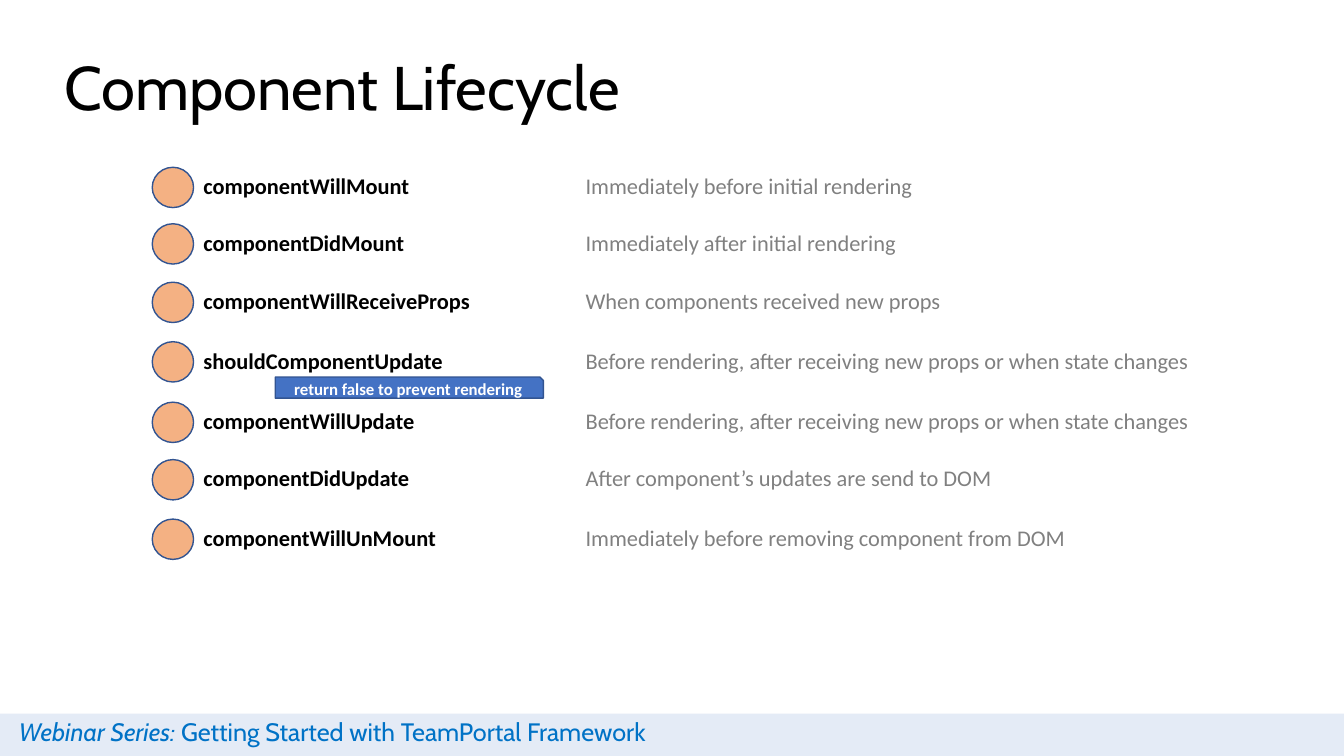
"""Build the Component Lifecycle slide."""
from dataclasses import dataclass, field
from typing import Any, NamedTuple

from lxml.etree import SubElement
from pptx import Presentation
from pptx.dml.color import RGBColor as Rgb
from pptx.enum.shapes import MSO_SHAPE as Preset
from pptx.enum.text import MSO_ANCHOR as Anchor, MSO_AUTO_SIZE as Fit, PP_ALIGN as Align
from pptx.oxml.ns import qn
from pptx.util import Inches, Pt


@dataclass(frozen=True)
class TextStyle:
    """Font settings for one kind of text."""
    color: str
    size: int
    name: str = "Calibri"
    bold: bool = False
    italic: bool = False


@dataclass(frozen=True)
class Theme:
    """Colours and type styles of the slide."""
    accent: str = "4472C4"
    outline: str = "325491"
    marker: str = "F4B183"
    banner_alpha: int = 14
    title: TextStyle = field(default=TextStyle("000000", 44, "Cabin"))
    series: TextStyle = field(default=TextStyle("0072C6", 18, "Cabin", italic=True))
    topic: TextStyle = field(default=TextStyle("0072C6", 18, "Cabin"))
    method: TextStyle = field(default=TextStyle("000000", 16, bold=True))
    timing: TextStyle = field(default=TextStyle("808080", 16))
    hint: TextStyle = field(default=TextStyle("FFFFFF", 12, bold=True))


class Box(NamedTuple):
    """Left, top, width and height in inches."""
    left: float
    top: float
    width: float
    height: float


class Stage(NamedTuple):
    """One lifecycle method, when it runs and its place."""
    top: float
    method: str
    timing: str
    method_width: float = 2.66
    timing_width: float = 4.29


THEME = Theme()
MARKER_LEFT, METHOD_LEFT, TIMING_LEFT = 1.51, 1.92, 5.71
LABEL_HEIGHT = 0.37
BEFORE_UPDATE = "Before rendering, after receiving new props or when state changes"
STAGES = (
    Stage(1.66, "componentWillMount", "Immediately before initial rendering"),
    Stage(2.22, "componentDidMount", "Immediately after initial rendering"),
    Stage(2.8, "componentWillReceiveProps", "When components received new props", method_width=2.9),
    Stage(3.39, "shouldComponentUpdate", BEFORE_UPDATE, timing_width=6.93),
    Stage(3.99, "componentWillUpdate", BEFORE_UPDATE, timing_width=6.55),
    Stage(4.56, "componentDidUpdate", "After component’s updates are send to DOM"),
    Stage(5.15, "componentWillUnMount", "Immediately before removing component from DOM",
          timing_width=5.35),
)


def set_all(target: Any, values: dict[str, Any]) -> None:
    """Set every named attribute on the target."""
    for name, value in values.items():
        setattr(target, name, value)


def write(paragraph: Any, text: str, style: TextStyle) -> None:
    """Append a styled run to a paragraph."""
    run = paragraph.add_run()
    run.text = text
    set_all(run.font, {"name": style.name, "size": Pt(style.size),
                       "bold": style.bold, "italic": style.italic})
    run.font.color.rgb = Rgb.from_string(style.color)


def add_text(shapes: Any, box: Box, *runs: tuple[str, TextStyle], **frame: Any) -> Any:
    """Add a wrapping text box and return its paragraph."""
    text_frame = shapes.add_textbox(*map(Inches, box)).text_frame
    set_all(text_frame, {"word_wrap": True, "auto_size": Fit.SHAPE_TO_FIT_TEXT} | frame)
    paragraph = text_frame.paragraphs[0]
    for text, style in runs:
        write(paragraph, text, style)
    return paragraph


def add_shape(shapes: Any, preset: Preset, box: Box, fill: str, outline: str | None) -> Any:
    """Add a flat filled shape with an optional outline."""
    shape = shapes.add_shape(preset, *map(Inches, box))
    shape.shadow.inherit = False
    shape.fill.solid()
    shape.fill.fore_color.rgb = Rgb.from_string(fill)
    if outline:
        shape.line.color.rgb = Rgb.from_string(outline)
        shape.line.width = Pt(1)
    else:
        shape.line.fill.background()
    return shape


def add_banner(shapes: Any) -> None:
    """Add the translucent footer band and its series name."""
    band = add_shape(shapes, Preset.RECTANGLE, Box(0, 7.08, 13.33, 0.42), THEME.accent, None)
    color = band.fill._xPr.find(qn("a:solidFill"))[0]
    SubElement(color, qn("a:alpha"), val=str(THEME.banner_alpha * 1000))
    add_text(shapes, Box(0.09, 7.06, 7.14, 0.4), ("Webinar Series: ", THEME.series),
             ("Getting Started with TeamPortal Framework", THEME.topic))


def add_stage(shapes: Any, stage: Stage) -> None:
    """Add a grouped marker, method name and timing."""
    members = shapes.add_group_shape().shapes
    add_shape(members, Preset.OVAL, Box(MARKER_LEFT, stage.top, 0.41, 0.4),
              THEME.marker, THEME.outline)
    add_text(members, Box(METHOD_LEFT, stage.top, stage.method_width, LABEL_HEIGHT),
             (stage.method, THEME.method))
    add_text(members, Box(TIMING_LEFT, stage.top, stage.timing_width, LABEL_HEIGHT),
             (stage.timing, THEME.timing))


def add_hint(shapes: Any) -> None:
    """Add the tag about preventing rendering."""
    tag = add_shape(shapes, Preset.SNIP_1_RECTANGLE, Box(2.73, 3.74, 2.66, 0.21),
                    THEME.accent, THEME.outline)
    set_all(tag.text_frame, {"word_wrap": True, "vertical_anchor": Anchor.MIDDLE})
    paragraph = tag.text_frame.paragraphs[0]
    paragraph.alignment = Align.CENTER
    write(paragraph, "return false to prevent rendering", THEME.hint)


def main() -> None:
    """Build and save the presentation."""
    deck = Presentation()
    set_all(deck, {"slide_width": Inches(13.33), "slide_height": Inches(7.5)})
    shapes = deck.slides.add_slide(deck.slide_layouts[6]).shapes
    add_banner(shapes)
    title = add_text(shapes, Box(0.54, 0.32, 11.5, 1.15), ("Component Lifecycle", THEME.title),
                     auto_size=Fit.NONE, vertical_anchor=Anchor.MIDDLE)
    title.line_spacing = 0.9
    for stage in STAGES:
        add_stage(shapes, stage)
    add_hint(shapes)
    deck.save("out.pptx")


if __name__ == "__main__":
    main()
